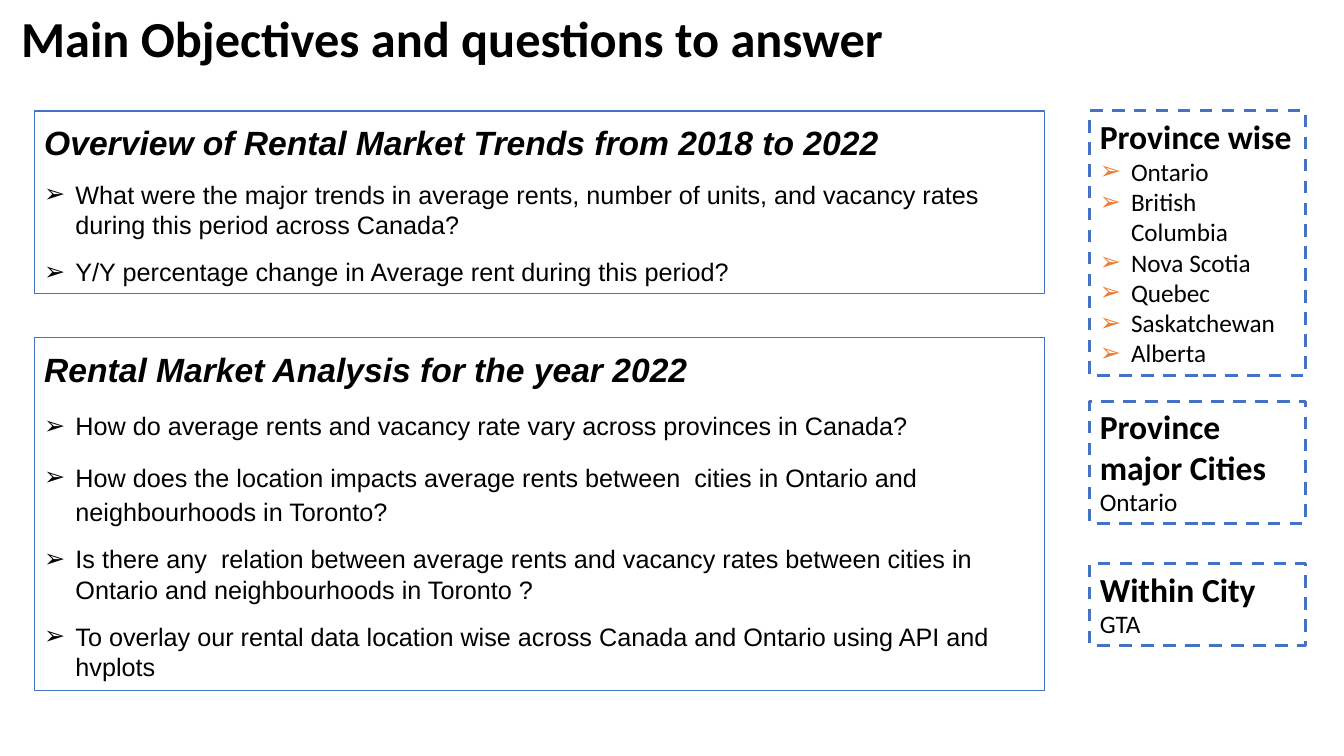
from lxml import etree
from pptx import Presentation
from pptx.dml.color import RGBColor
from pptx.enum.dml import MSO_LINE
from pptx.enum.shapes import MSO_SHAPE
from pptx.enum.text import MSO_ANCHOR, MSO_AUTO_SIZE, PP_ALIGN
from pptx.oxml.ns import qn
from pptx.util import Emu, Pt

PX = 9144  # 100 px to the inch
RECT, DASH = MSO_SHAPE.RECTANGLE, MSO_LINE.DASH
TOP, GROW = MSO_ANCHOR.TOP, MSO_AUTO_SIZE.SHAPE_TO_FIT_TEXT
LEFT, JUSTIFY = PP_ALIGN.LEFT, PP_ALIGN.JUSTIFY
TITLE_ONLY = 5
COLORS = {"text": "000000", "panel": "FFFFFF", "border": "4472C4", "accent": "ED7D31"}

GAP = {"space_before": Pt(6), "space_after": Pt(6)}
FIRST = {"space_after": Pt(6), "line_spacing": 1.15}
LOOSE = {**GAP, "line_spacing": 1.15}

QUESTIONS = [
    (110, 181, "Overview of Rental Market Trends from 2018 to 2022", {**FIRST, "alignment": JUSTIFY}, [
        ("What were the major trends in average rents, number of units, and vacancy rates "
         "during this period across Canada?", GAP),
        ("Y/Y percentage change in Average rent during this period?", GAP),
    ]),
    (335, 350, "Rental Market Analysis for the year 2022", FIRST, [
        ("How do average rents and vacancy rate vary across provinces in Canada?", LOOSE),
        ("How does the location impacts average rents between  cities in Ontario and "
         "neighbourhoods in Toronto?", LOOSE),
        ("Is there any  relation between average rents and vacancy rates between cities in "
         "Ontario and neighbourhoods in Toronto ?", GAP),
        ("To overlay our rental data location wise across Canada and Ontario using API and "
         "hvplots", GAP),
    ]),
]
SCOPES = [
    (110, 263, "Province wise",
     ["Ontario", "British Columbia", "Nova Scotia", "Quebec", "Saskatchewan", "Alberta"], "accent"),
    (398, 121, "Province major Cities", ["Ontario"], None),
    (559, 81, "Within City", ["GTA"], None),
]


def rgb(name):
    return RGBColor.from_string(COLORS[name])


class SlideBuilder:
    def __init__(self, prs):
        self.s = prs.slides.add_slide(prs.slide_layouts[TITLE_ONLY])

    def frame(self, sp):
        tf = sp.text_frame
        for name, value in {"word_wrap": True, "auto_size": GROW, "vertical_anchor": TOP}.items():
            setattr(tf, name, value)
        return tf

    def bullet(self, p, color):
        pPr = p._p.get_or_add_pPr()
        pPr.set("marL", str(31 * PX))
        pPr.set("indent", str(-31 * PX))
        clr = etree.SubElement(pPr, qn("a:buClr"))
        etree.SubElement(clr, qn("a:srgbClr")).set("val", COLORS[color])
        etree.SubElement(pPr, qn("a:buFont")).set("typeface", "Arial")
        etree.SubElement(pPr, qn("a:buChar")).set("char", "➢")

    def text(self, p, text, font, size, bold=False, italic=False, bullet=None, layout=None):
        if bullet:
            self.bullet(p, bullet)
        for name, value in {"alignment": LEFT, **(layout or {})}.items():
            setattr(p, name, value)
        r = p.add_run()
        r.text = text
        for name, value in {"name": font, "size": Pt(size), "bold": bold, "italic": italic}.items():
            setattr(r.font, name, value)
        r.font.color.rgb = rgb("text")

    def title(self, x, y, w, h, text):
        sp = self.s.shapes.title
        for name, value in {"left": x, "top": y, "width": w, "height": h}.items():
            setattr(sp, name, Emu(value * PX))
        self.text(self.frame(sp).paragraphs[0], text, "Calibri", 36, bold=True)

    def box(self, x, y, w, h, line_width, fill=None, dash=None):
        sp = self.s.shapes.add_shape(RECT, *(Emu(v * PX) for v in (x, y, w, h)))
        sp.shadow.inherit = False
        if fill:
            sp.fill.solid()
            sp.fill.fore_color.rgb = rgb(fill)
        else:
            sp.fill.background()
        sp.line.color.rgb = rgb("border")
        sp.line.width = Pt(line_width)
        if dash:
            sp.line.dash_style = dash
        return self.frame(sp)

    def question_panel(self, y, h, heading, layout, questions):
        tf = self.box(34, y, 1002, h, 1, fill="panel")
        self.text(tf.paragraphs[0], heading, "Arial", 24, bold=True, italic=True, layout=layout)
        for question, spacing in questions:
            self.text(tf.add_paragraph(), question, "Arial", 18, bullet="text", layout=spacing)

    def scope_box(self, y, h, heading, places, bullet):
        tf = self.box(1081, y, 214, h, 2.25, dash=DASH)
        self.text(tf.paragraphs[0], heading, "Calibri", 24, bold=True)
        for place in places:
            self.text(tf.add_paragraph(), place, "Calibri", 18, bullet=bullet)


def main():
    prs = Presentation()
    prs.slide_width, prs.slide_height = Emu(1333 * PX), Emu(750 * PX)
    slide = SlideBuilder(prs)
    slide.title(11, 2, 1177, 71, "Main Objectives and questions to answer")
    for panel in QUESTIONS:
        slide.question_panel(*panel)
    for scope in SCOPES:
        slide.scope_box(*scope)
    prs.save("out.pptx")


if __name__ == "__main__":
    main()
